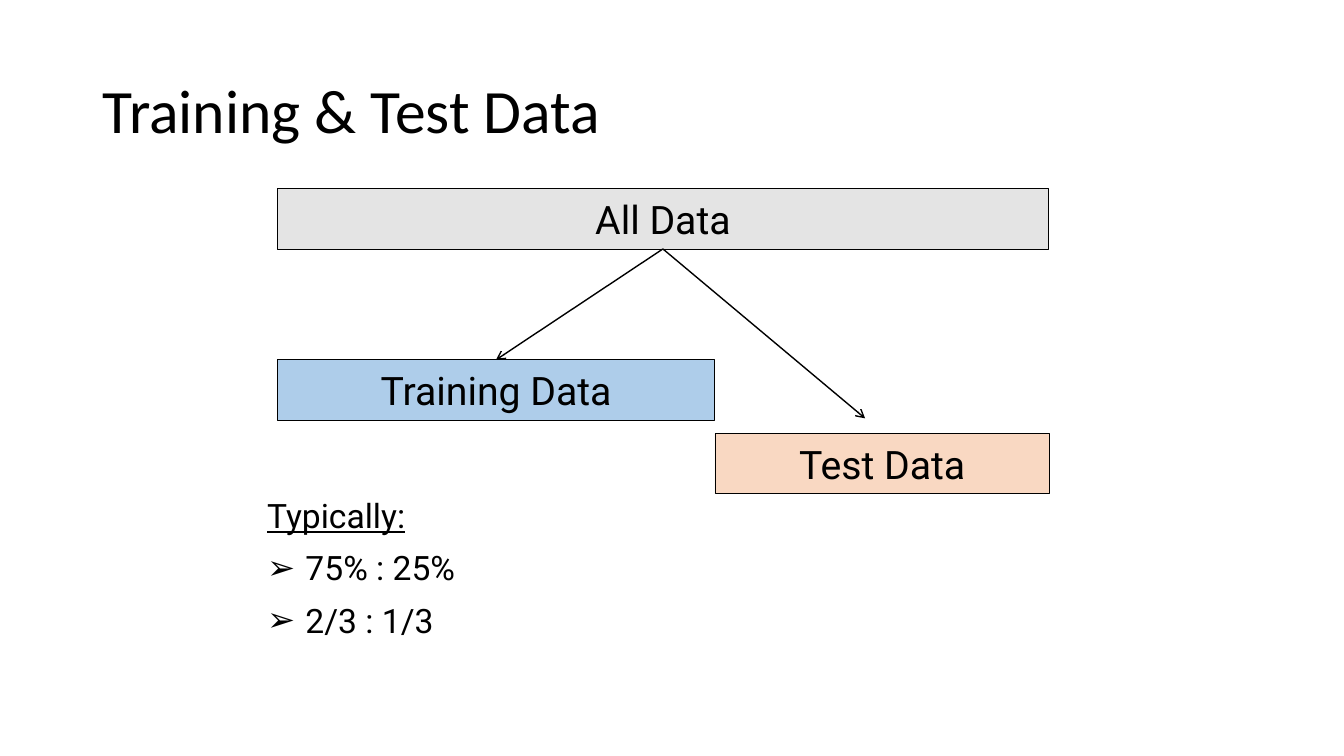
from lxml import etree
from pptx import Presentation
from pptx.dml.color import RGBColor
from pptx.enum import shapes, text
from pptx.oxml.ns import qn
from pptx.util import Inches, Pt


def set_color(color_format, hex_color):
    color_format.rgb = RGBColor.from_string(hex_color)


def set_font(paragraph, name, size):
    paragraph.font.name = name
    paragraph.font.size = Pt(size)
    set_color(paragraph.font.color, "000000")


presentation = Presentation()
presentation.slide_width = Inches(13.33)
presentation.slide_height = Inches(7.5)
slide = presentation.slides.add_slide(presentation.slide_layouts[1])

# Title
title = slide.shapes.title
title.left, title.top = Inches(0.92), Inches(0.4)
title.width, title.height = Inches(11.5), Inches(1.45)
title.text_frame.text = "Training & Test Data"
title.text_frame.vertical_anchor = text.MSO_ANCHOR.MIDDLE
paragraph = title.text_frame.paragraphs[0]
paragraph.alignment = text.PP_ALIGN.LEFT
paragraph.line_spacing = 0.9
set_font(paragraph, "Calibri", 44)

# Data boxes with translucent fills
boxes = {}
for label, left, top, width, fill in [
    ("All Data", 2.75, 1.87, 7.65, "C9C9C9"),
    ("Training Data", 2.75, 3.57, 4.34, "5B9BD5"),
    ("Test Data", 7.09, 4.3, 3.32, "F4B183"),
]:
    box = slide.shapes.add_shape(
        shapes.MSO_SHAPE.RECTANGLE, Inches(left), Inches(top), Inches(width), Inches(0.6))
    box.shadow.inherit = False
    box.fill.solid()
    set_color(box.fill.fore_color, fill)
    color = box.fill._xPr.find(".//" + qn("a:srgbClr"))
    etree.SubElement(color, qn("a:alpha"), val="49000")
    set_color(box.line.color, "000000")
    box.line.width = Pt(0.5)
    box.text_frame.text = label
    box.text_frame.vertical_anchor = text.MSO_ANCHOR.MIDDLE
    paragraph = box.text_frame.paragraphs[0]
    paragraph.alignment = text.PP_ALIGN.CENTER
    set_font(paragraph, "Roboto", 28)
    boxes[label] = box

# Arrows from all data to its two parts
arrows = []
for end_x, end_y in [(8.58, 4.15), (4.92, 3.57)]:
    arrow = slide.shapes.add_connector(
        shapes.MSO_CONNECTOR.STRAIGHT, Inches(6.58), Inches(2.47), Inches(end_x), Inches(end_y))
    arrow.begin_connect(boxes["All Data"], 2)
    set_color(arrow.line.color, "000000")
    arrow.line.width = Pt(1)
    etree.SubElement(arrow.line._get_or_add_ln(), qn("a:tailEnd"), type="arrow")
    etree.SubElement(arrow._element.spPr, qn("a:effectLst"))
    arrows.append(arrow)
arrows[1].end_connect(boxes["Training Data"], 0)

# Typical split ratios
ratios = slide.placeholders[1]
ratios.left, ratios.top = Inches(2.55), Inches(4.86)
ratios.width, ratios.height = Inches(3.14), Inches(1.56)
ratios.text_frame.text = "Typically:\n75% : 25%\n2/3 : 1/3"
ratios.text_frame.auto_size = text.MSO_AUTO_SIZE.NONE
for index, paragraph in enumerate(ratios.text_frame.paragraphs):
    is_heading = index == 0
    indent = 0 if is_heading else Inches(0.38)
    paragraph.line_spacing = 1.0 if is_heading else 1.3
    paragraph.space_before = Pt(0)
    properties = paragraph._p.get_or_add_pPr()
    properties.set("marL", str(indent))
    properties.set("indent", str(-indent))
    if is_heading:
        etree.SubElement(properties, qn("a:buNone"))
    else:
        etree.SubElement(properties, qn("a:buChar"), char="➢")
    set_font(paragraph, "Roboto", 24)
    paragraph.font.underline = is_heading

presentation.save("out.pptx")
